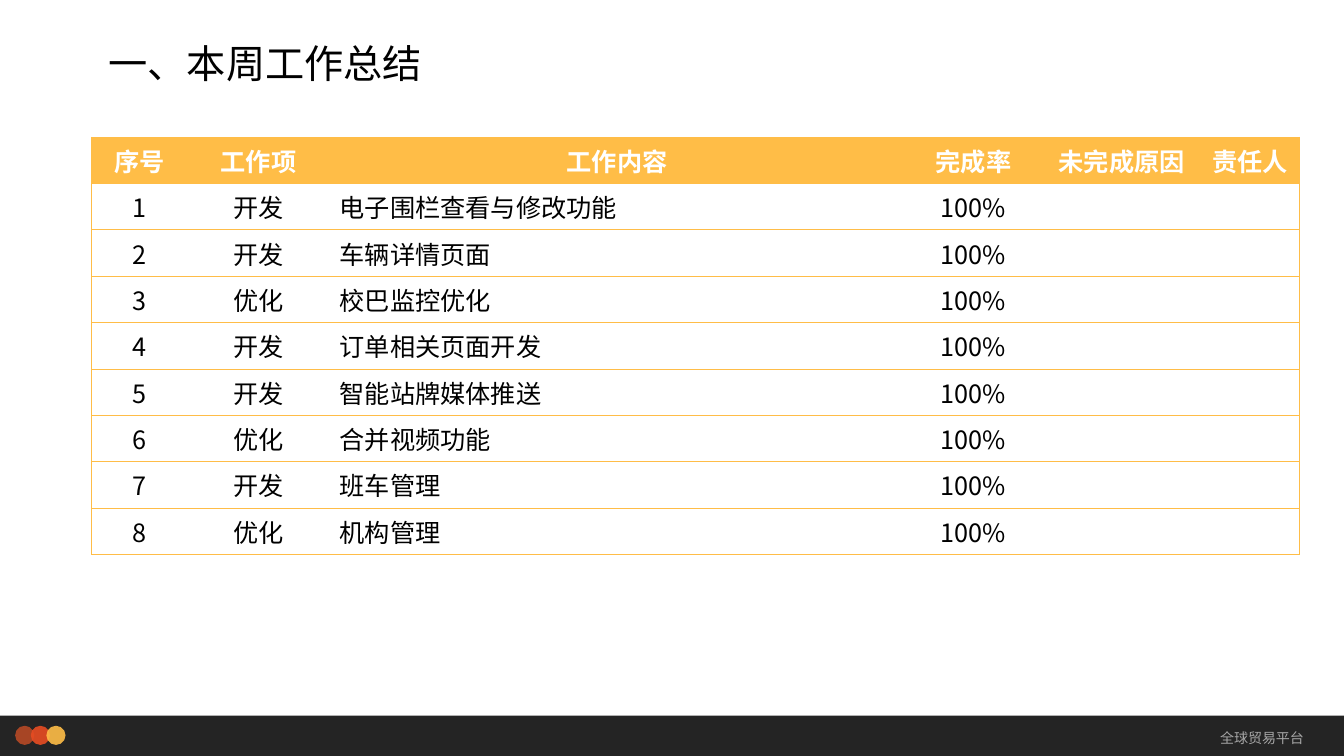
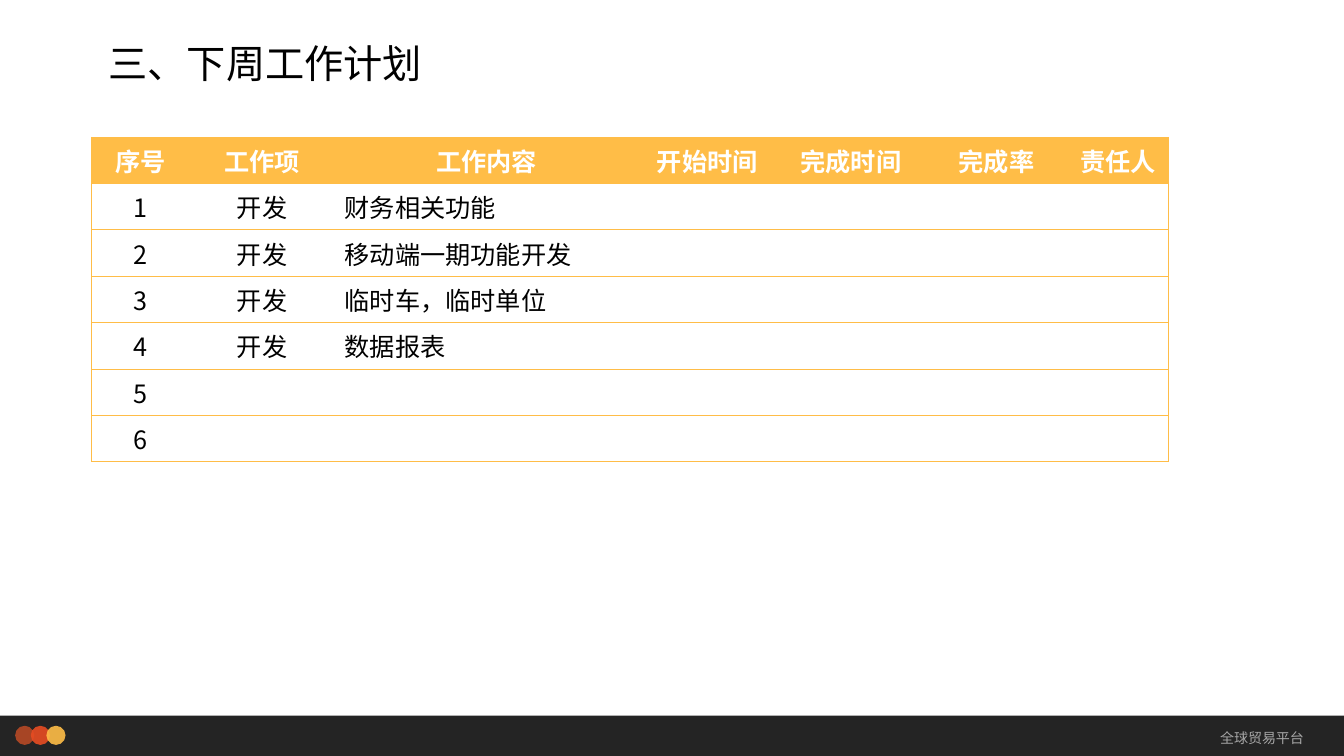
from lxml.etree import SubElement
from pptx import Presentation
from pptx.dml.color import RGBColor
from pptx.enum.shapes import MSO_SHAPE as Shape
from pptx.enum.text import MSO_ANCHOR as Anchor, PP_ALIGN as Align
from pptx.oxml.ns import qn
from pptx.util import Inches, Pt

# Shared style
FONT = "Noto Sans CJK SC"
COLORS = {
    "amber": "FFBD47",
    "orange": "E84C22",
    "rust": "B64926",
    "band": "0D0D0D",
    "footer": "A6A6A6",
    "text": "000000",
    "white": "FFFFFF",
}
ROW_HEIGHT = 0.46
BORDER_WIDTH = Pt(0.5)
PLAIN_TABLE_STYLE = "{2D5ABB26-0587-4C30-8999-92F81FD0307C}"
CONTENT_COLUMN = 2

# Slide content
SUMMARY = {
    "title": "一、本周工作总结",
    "widths": [0.95, 1.41, 5.7, 1.37, 1.57, 0.98],
    "rows": [
        ["序号", "工作项", "工作内容", "完成率", "未完成原因", "责任人"],
        ["1", "开发", "电子围栏查看与修改功能", "100%"],
        ["2", "开发", "车辆详情页面", "100%"],
        ["3", "优化", "校巴监控优化", "100%"],
        ["4", "开发", "订单相关页面开发", "100%"],
        ["5", "开发", "智能站牌媒体推送", "100%"],
        ["6", "优化", "合并视频功能", "100%"],
        ["7", "开发", "班车管理", "100%"],
        ["8", "优化", "机构管理", "100%"],
    ],
}
PLAN = {
    "title": "三、下周工作计划",
    "widths": [0.97, 1.44, 3.01, 1.37, 1.48, 1.41, 1],
    "rows": [
        ["序号", "工作项", "工作内容", "开始时间", "完成时间", "完成率", "责任人"],
        ["1", "开发", "财务相关功能"],
        ["2", "开发", "移动端一期功能开发"],
        ["3", "开发", "临时车，临时单位"],
        ["4", "开发", "数据报表"],
        ["5"],
        ["6"],
    ],
}


def rgb(color):
    return RGBColor.from_string(COLORS[color])


def style_paragraph(paragraph, size, color, bold=False, align=Align.LEFT):
    paragraph.alignment = align
    font = paragraph.font
    font.size, font.bold, font.name = Pt(size), bold, FONT
    font.color.rgb = rgb(color)
    # Chinese characters take the East Asian typeface
    defaults = paragraph._p.pPr.find(qn("a:defRPr"))
    SubElement(defaults, qn("a:ea"), typeface=FONT)


def add_text(slide, text, box, size, color, anchor, align=Align.LEFT):
    frame = slide.shapes.add_textbox(*map(Inches, box)).text_frame
    frame.word_wrap = True
    frame.vertical_anchor = anchor
    paragraph = frame.paragraphs[0]
    paragraph.text = text
    style_paragraph(paragraph, size, color, align=align)
    return paragraph


def add_tinted_shape(slide, kind, box, color):
    shape = slide.shapes.add_shape(kind, *map(Inches, box))
    shape.shadow.inherit = False
    shape.line.fill.background()
    shape.fill.solid()
    shape.fill.fore_color.rgb = rgb(color)
    tint = shape._element.spPr.find(qn("a:solidFill"))[0]
    SubElement(tint, qn("a:alpha"), val="90000")


def add_footer(slide):
    add_tinted_shape(slide, Shape.RECTANGLE, (0, 7.1, 13.33, 0.4), "band")
    for i, color in enumerate(("rust", "orange", "amber")):
        dot_box = (0.15 + i * 0.155, 7.2, 0.19, 0.19)
        add_tinted_shape(slide, Shape.OVAL, dot_box, color)
    add_text(slide, "全球贸易平台", (10.77, 7.1, 2.26, 0.44), 10, "footer",
             Anchor.MIDDLE, Align.RIGHT)


def add_title(slide, text):
    title = add_text(slide, text, (0.98, 0.15, 10, 0.76), 28, "text",
                     Anchor.BOTTOM)
    title.line_spacing = 0.9


def set_borders(cell, sides):
    properties = cell._tc.get_or_add_tcPr()
    for position, side in enumerate(sides):
        line = SubElement(properties, qn(f"a:ln{side}"), w=str(BORDER_WIDTH))
        fill = SubElement(line, qn("a:solidFill"))
        SubElement(fill, qn("a:srgbClr"), val=COLORS["amber"])
        # Borders come before the cell fill
        properties.insert(position, line)


def add_work_table(slide, widths, rows):
    frame = slide.shapes.add_table(
        len(rows), len(widths), Inches(0.91), Inches(1.36),
        Inches(sum(widths)), Inches(ROW_HEIGHT * len(rows)))
    table = frame.table
    table.horz_banding = False
    table._tbl.tblPr.find(qn("a:tableStyleId")).text = PLAIN_TABLE_STYLE
    for column, width in zip(table.columns, widths):
        column.width = Inches(width)

    last = len(widths) - 1
    for r, values in enumerate(rows):
        header = r == 0
        table.rows[r].height = Inches(ROW_HEIGHT)
        for c in range(len(widths)):
            cell = table.cell(r, c)
            cell.fill.solid()
            cell.fill.fore_color.rgb = rgb("amber" if header else "white")
            # Outer frame and row rules, no inner verticals
            set_borders(cell, "L" * (c == 0) + "R" * (c == last) + "TB")
            paragraph = cell.text_frame.paragraphs[0]
            if c < len(values):
                paragraph.text = values[c]
            left = c == CONTENT_COLUMN and not header
            style_paragraph(paragraph, 18, "white" if header else "text",
                            header, Align.LEFT if left else Align.CENTER)


def add_work_slide(deck, title, widths, rows):
    slide = deck.slides.add_slide(deck.slide_layouts[6])
    add_footer(slide)
    add_title(slide, title)
    add_work_table(slide, widths, rows)


def main():
    deck = Presentation()
    deck.slide_width, deck.slide_height = Inches(13.33), Inches(7.5)
    for content in (SUMMARY, PLAN):
        add_work_slide(deck, **content)
    deck.save("out.pptx")


if __name__ == "__main__":
    main()
